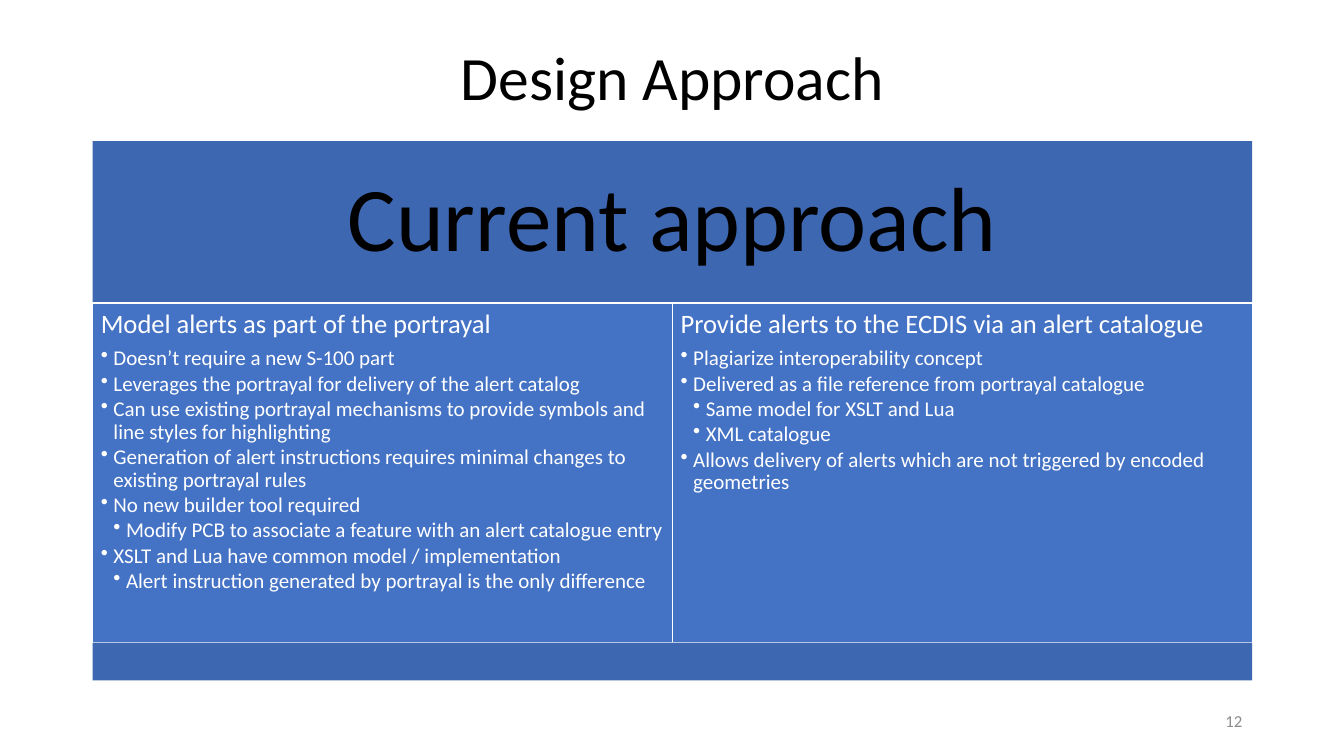
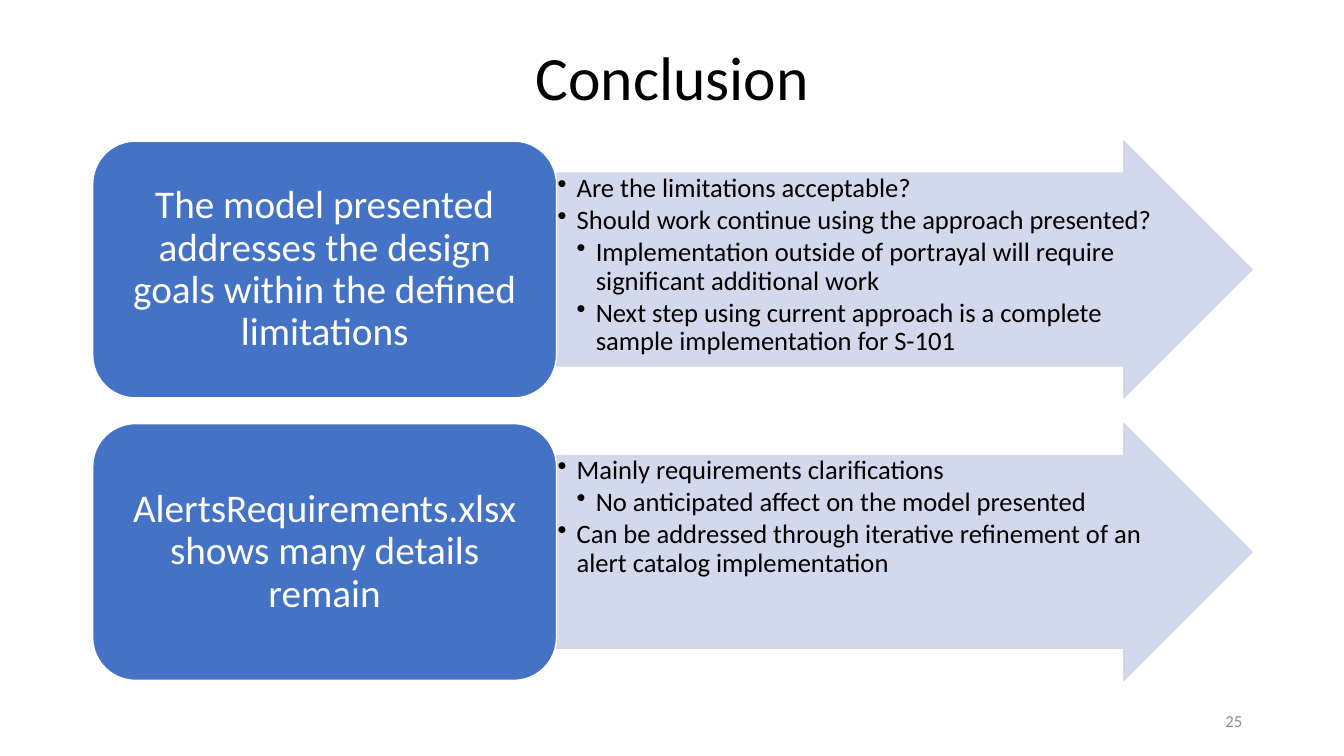
from collections import namedtuple

from lxml import etree
from pptx import Presentation
from pptx import util as u
from pptx.dml.color import RGBColor
from pptx.enum import shapes, text
from pptx.oxml.ns import qn

# Shared look
BLUE = RGBColor(0x44, 0x72, 0xC4)
BAND = RGBColor(0x3E, 0x67, 0xB2)
PALE = RGBColor(0xCF, 0xD5, 0xEA)
WHITE = RGBColor(0xFF, 0xFF, 0xFF)
BLACK = RGBColor(0, 0, 0)
GREY = RGBColor(0x8C, 0x8C, 0x8C)
FONT = "Calibri"
LINE_SPACING = 0.9
HEAD_GAP, BULLET_GAP = 0.3, 0.125  # space after, as a share of the text size

SHAPE = shapes.MSO_SHAPE
ALIGN = text.PP_ALIGN
ANCHOR = text.MSO_ANCHOR

# Boxes in inches
Box = namedtuple("Box", "left top width height")
SLIDE = Box(0, 0, 13.33, 7.5)
TITLE = Box(0.92, 0.4, 11.5, 0.79)
BODY = Box(0.92, 1.4, 11.5, 5.35)
NUMBER = Box(9.42, 6.95, 3, 0.4)


def part(box, left=0, top=0, width=1, height=1):
    """Return the part of a box given by shares of its width and height."""
    return Box(box.left + left * box.width, box.top + top * box.height,
               width * box.width, height * box.height)


def inches(box):
    return [u.Inches(length) for length in box]


def write(frame, lines, size, color=BLACK, align=ALIGN.LEFT, anchor=ANCHOR.TOP,
          margins=(0.1, 0.05), spacing=LINE_SPACING, gap=0.0, indent=0.0,
          head_size=None):
    """Write (level, text) lines; levels above 0 are bulleted."""
    frame.word_wrap = True
    frame.auto_size = text.MSO_AUTO_SIZE.NONE
    frame.vertical_anchor = anchor
    frame.margin_left = frame.margin_right = u.Inches(margins[0])
    frame.margin_top = frame.margin_bottom = u.Inches(margins[1])
    for index, (level, words) in enumerate(lines):
        paragraph = frame.add_paragraph() if index else frame.paragraphs[0]
        points = size if level or not head_size else head_size
        if level:
            paragraph.level = level
            properties = paragraph._p.get_or_add_pPr()
            properties.set("marL", str(u.Inches(indent * level)))
            properties.set("indent", str(-u.Inches(indent)))
            etree.SubElement(properties, qn("a:buChar")).set("char", "•")
        paragraph.alignment = align
        paragraph.line_spacing = spacing
        paragraph.space_before = u.Pt(0)
        paragraph.space_after = u.Pt(points * (BULLET_GAP if level else gap))
        run = paragraph.add_run()
        run.text = words
        run.font.name = FONT
        run.font.size = u.Pt(points)
        run.font.color.rgb = color


def add_block(slide, kind, box, fill, line=None, opacity=None):
    """Add a flat shape with an optional outline and opacity in percent."""
    shape = slide.shapes.add_shape(kind, *inches(box))
    shape.shadow.inherit = False
    shape.fill.solid()
    shape.fill.fore_color.rgb = fill
    if line is None:
        shape.line.fill.background()
    else:
        shape.line.color.rgb = line
        shape.line.width = u.Pt(1)
    if opacity:
        for color in shape._element.spPr.iter(qn("a:srgbClr")):
            etree.SubElement(color, qn("a:alpha")).set("val", str(opacity * 1000))
    return shape


def add_slide(presentation, title, number):
    """Add a slide with the shared title and page number."""
    slide = presentation.slides.add_slide(presentation.slide_layouts[5])
    heading = slide.shapes.title
    heading.left, heading.top, heading.width, heading.height = inches(TITLE)
    write(heading.text_frame, [(0, title)], 44, align=ALIGN.CENTER,
          anchor=ANCHOR.MIDDLE)
    page = slide.shapes.add_textbox(*inches(NUMBER))
    write(page.text_frame, [(0, number)], 12, color=GREY, align=ALIGN.RIGHT,
          anchor=ANCHOR.MIDDLE, spacing=1.0)
    return slide


def add_comparison(slide, box, heading, columns):
    """Header band, equal columns of points, and a closing band."""
    head, middle, foot = 0.3, 0.63, 0.07
    band = add_block(slide, SHAPE.RECTANGLE, part(box, height=head), BAND)
    write(band.text_frame, [(0, heading)], 65, align=ALIGN.CENTER,
          anchor=ANCHOR.MIDDLE, margins=(0.27, 0.27))
    share = 1 / len(columns)
    for index, lines in enumerate(columns):
        cell = part(box, index * share, head, share, middle)
        column = add_block(slide, SHAPE.RECTANGLE, cell, BLUE, line=WHITE)
        write(column.text_frame, lines, 15, color=WHITE, margins=(0.08, 0.08),
              gap=HEAD_GAP, indent=0.125, head_size=19)
    add_block(slide, SHAPE.RECTANGLE, part(box, top=head + middle, height=foot), BAND)


def add_conclusion(slide, box, statement, points):
    """Rounded statement on the left with an arrow of points to its right."""
    split = 0.4
    arrow = add_block(slide, SHAPE.RIGHT_ARROW, part(box, left=split, width=1 - split),
                      PALE, line=PALE, opacity=90)
    arrow.adjustments[0] = 0.75
    arrow.adjustments[1] = 0.5
    write(arrow.text_frame, points, 19, margins=(0.01, 0.01), indent=0.19)
    label = add_block(slide, SHAPE.ROUNDED_RECTANGLE, part(box, width=split),
                      BLUE, line=WHITE)
    write(label.text_frame, [(0, statement)], 28, color=WHITE, align=ALIGN.CENTER,
          anchor=ANCHOR.MIDDLE, margins=(0.12, 0.06))


# Content
PORTRAYAL = [
    (0, "Model alerts as part of the portrayal"),
    (1, "Doesn’t require a new S-100 part"),
    (1, "Leverages the portrayal for delivery of the alert catalog"),
    (1, "Can use existing portrayal mechanisms to provide symbols and line styles "
        "for highlighting"),
    (1, "Generation of alert instructions requires minimal changes to existing "
        "portrayal rules"),
    (1, "No new builder tool required"),
    (2, "Modify PCB to associate a feature with an alert catalogue entry"),
    (1, "XSLT and Lua have common model / implementation"),
    (2, "Alert instruction generated by portrayal is the only difference"),
]
CATALOGUE = [
    (0, "Provide alerts to the ECDIS via an alert catalogue"),
    (1, "Plagiarize interoperability concept"),
    (1, "Delivered as a file reference from portrayal catalogue"),
    (2, "Same model for XSLT and Lua"),
    (2, "XML catalogue"),
    (1, "Allows delivery of alerts which are not triggered by encoded geometries"),
]
CONCLUSIONS = [
    ("The model presented addresses the design goals within the defined limitations", [
        (1, "Are the limitations acceptable?"),
        (1, "Should work continue using the approach presented?"),
        (2, "Implementation outside of portrayal will require significant additional work"),
        (2, "Next step using current approach is a complete sample implementation "
            "for S-101"),
    ]),
    ("AlertsRequirements.xlsx shows many details remain", [
        (1, "Mainly requirements clarifications"),
        (2, "No anticipated affect on the model presented"),
        (1, "Can be addressed through iterative refinement of an alert catalog "
            "implementation"),
    ]),
]


def main():
    presentation = Presentation()
    presentation.slide_width = u.Inches(SLIDE.width)
    presentation.slide_height = u.Inches(SLIDE.height)

    # Design approach
    slide = add_slide(presentation, "Design Approach", "12")
    add_comparison(slide, BODY, "Current approach", [PORTRAYAL, CATALOGUE])

    # Conclusion: rows separated by a tenth of a row
    slide = add_slide(presentation, "Conclusion", "25")
    row = 1 / (1.1 * len(CONCLUSIONS) - 0.1)
    for index, (statement, points) in enumerate(CONCLUSIONS):
        add_conclusion(slide, part(BODY, top=1.1 * row * index, height=row),
                       statement, points)

    presentation.save("out.pptx")


if __name__ == "__main__":
    main()
